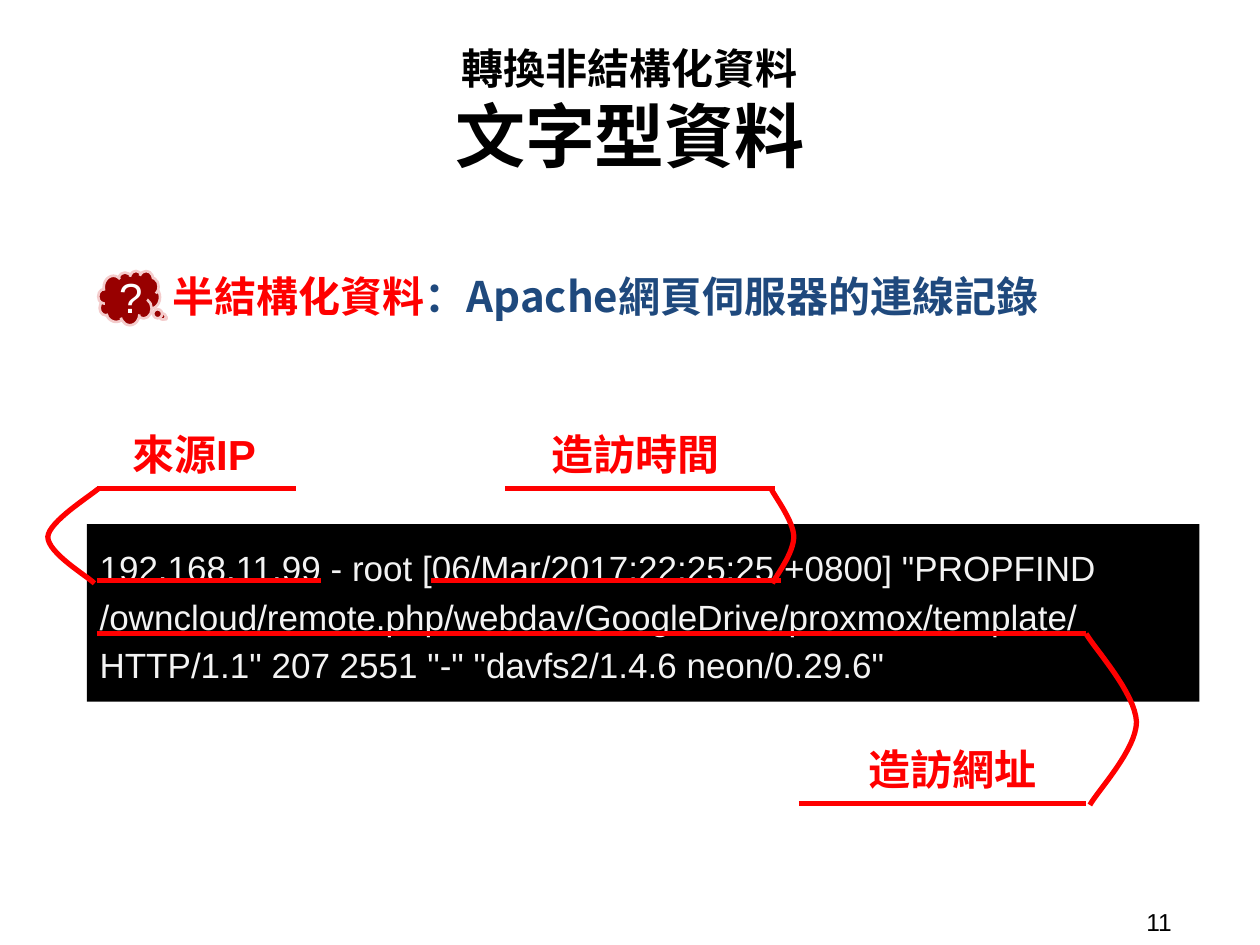
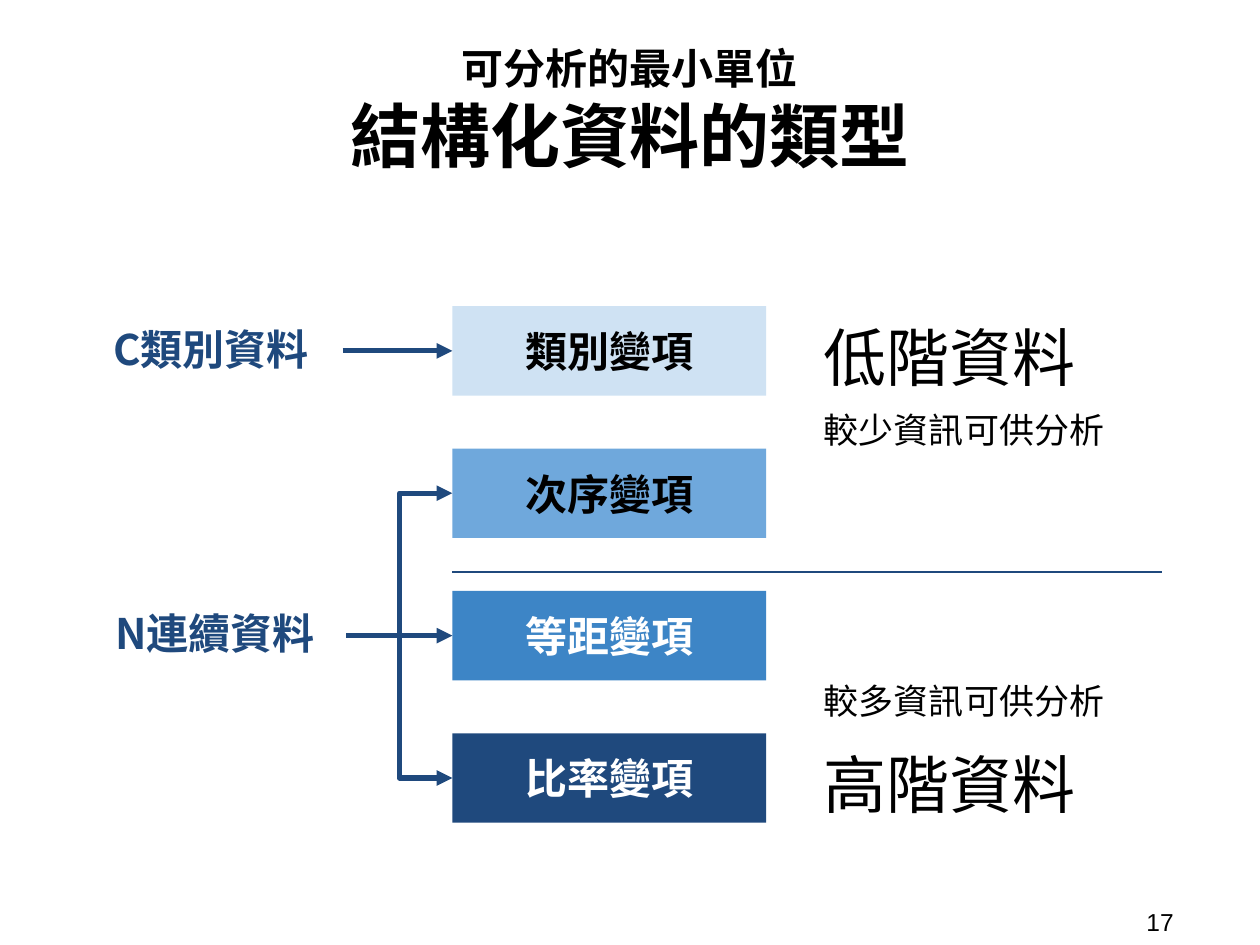
import lxml.etree
import pptx
import pptx.dml.color
import pptx.enum.shapes
import pptx.enum.text
import pptx.oxml.ns
import pptx.util

Inches = pptx.util.Inches
SHAPES = pptx.enum.shapes.MSO_SHAPE
CONNECTORS = pptx.enum.shapes.MSO_CONNECTOR
ALIGN = pptx.enum.text.PP_ALIGN
ANCHOR = pptx.enum.text.MSO_ANCHOR

SANS, CJK = "Arial", "Noto Sans CJK TC"
BLACK, WHITE, RED, NAVY = "000000", "FFFFFF", "FF0000", "1F497D"
TITLE_BOX = (0.52, 0.19, 8.96, 1.36)
NUMBER_BOX = (9, 7.17, 0.92, 0.29)

LOG_TITLE = ("轉換非結構化資料", "文字型資料")
LOG_HEADING = [
    ("半結構化資料", {"fill": RED}),
    ("：Apache網頁伺服器的連線記錄", {"fill": NAVY}),
]
LOG_ENTRY = (
    "192.168.11.99 - root [06/Mar/2017:22:25:25 +0800] \"PROPFIND "
    "/owncloud/remote.php/webdav/GoogleDrive/proxmox/template/ "
    "HTTP/1.1\" 207 2551 \"-\" \"davfs2/1.4.6 neon/0.29.6\""
)
LOG_FIELDS = [
    {
        "label": "造訪網址", "box": (6.49, 5.8, 2.14, 0.29),
        "lines": [(0.77, 8.62, 5.03), (6.34, 8.62, 6.38)],
        "curve": [(8.62, 5.03), (8.69, 5.15), (9.01, 5.5), (9.02, 5.73),
                  (9.02, 5.95), (8.71, 6.28), (8.65, 6.39)],
    },
    {
        "label": "來源IP", "box": (0.8, 3.3, 1.48, 0.29),
        "lines": [(0.77, 2.55, 4.61), (0.77, 2.35, 3.88)],
        "curve": [(0.78, 3.88), (0.71, 3.94), (0.39, 4.14), (0.38, 4.26),
                  (0.38, 4.39), (0.69, 4.57), (0.75, 4.63)],
    },
    {
        "label": "造訪時間", "box": (4.04, 3.3, 2.01, 0.29),
        "lines": [(3.42, 6.2, 4.61), (4.01, 6.15, 3.88)],
        "curve": [(6.12, 3.88), (6.15, 3.94), (6.3, 4.14), (6.3, 4.26),
                  (6.3, 4.39), (6.16, 4.57), (6.13, 4.63)],
    },
]

TYPES_TITLE = ("可分析的最小單位", "結構化資料的類型")
VARIABLES = [
    ("類別變項", "CFE2F3", BLACK),
    ("次序變項", "6FA8DC", BLACK),
    ("等距變項", "3D85C6", WHITE),
    ("比率變項", NAVY, WHITE),
]
VARIABLE_LEFT, VARIABLE_TOP, VARIABLE_PITCH = 3.59, 2.43, 1.13
VARIABLE_WIDTH, VARIABLE_HEIGHT = 2.49, 0.71
DATA_KINDS = [
    ("C類別資料", 0.63, 0, [0]),
    ("N連續資料", 0.66, 2, [1, 3, 2]),
]
KIND_WIDTH, KIND_HEIGHT = 2.09, 0.64
LEVEL_NOTES = [
    ("低階資料", 2.43, 36, ANCHOR.TOP),
    ("較少資訊可供分析", 3.14, 20, ANCHOR.TOP),
    ("較多資訊可供分析", 5.12, 20, ANCHOR.BOTTOM),
    ("高階資料", 5.82, 36, ANCHOR.TOP),
]


def color(value):
    return pptx.dml.color.RGBColor.from_string(value)


def place(shape, box):
    shape.left, shape.top, shape.width, shape.height = map(Inches, box)


def write_text(shape, paragraphs, font=SANS, size=24, fill=BLACK, bold=False,
               align=ALIGN.LEFT, anchor=ANCHOR.TOP, spacing=1.0, inset=0.1):
    frame = shape.text_frame
    frame.word_wrap = True
    frame.auto_size = pptx.enum.text.MSO_AUTO_SIZE.NONE
    frame.vertical_anchor = anchor
    frame.margin_left = frame.margin_right = Inches(0.1)
    frame.margin_top = frame.margin_bottom = Inches(inset)
    if isinstance(paragraphs, str):
        paragraphs = [[(paragraphs, {})]]
    for index, runs in enumerate(paragraphs):
        paragraph = frame.add_paragraph() if index else frame.paragraphs[0]
        properties = paragraph._p.get_or_add_pPr()
        properties.set("marL", "0")
        properties.set("indent", "0")
        lxml.etree.SubElement(properties, pptx.oxml.ns.qn("a:buNone"))
        paragraph.alignment = align
        paragraph.line_spacing = spacing
        paragraph.space_before = pptx.util.Pt(0)
        for text, changes in runs:
            run = paragraph.add_run()
            run.text = text
            run.font.name = font
            run.font.size = pptx.util.Pt(changes.get("size", size))
            run.font.bold = bold
            run.font.color.rgb = color(changes.get("fill", fill))
            east_asian = lxml.etree.SubElement(
                run._r.get_or_add_rPr(), pptx.oxml.ns.qn("a:ea"))
            east_asian.set("typeface", CJK)


def add_text(slide, box, text, **style):
    shape = slide.shapes.add_textbox(*map(Inches, box))
    write_text(shape, text, **style)


def add_block(slide, kind, box, background, text, **style):
    shape = slide.shapes.add_shape(kind, *map(Inches, box))
    shape.shadow.inherit = False
    shape.fill.solid()
    shape.fill.fore_color.rgb = color(background)
    shape.line.fill.background()
    write_text(shape, text, anchor=ANCHOR.MIDDLE, **style)
    return shape


def set_line(shape, stroke, width):
    shape.line.color.rgb = color(stroke)
    shape.line.width = pptx.util.Pt(width)


def add_line(slide, start, end, stroke, width=3, kind=CONNECTORS.STRAIGHT, arrow=False):
    connector = slide.shapes.add_connector(kind, *map(Inches, (*start, *end)))
    set_line(connector, stroke, width)
    properties = connector._element.spPr
    if arrow:
        outline = properties.find(pptx.oxml.ns.qn("a:ln"))
        tail = lxml.etree.SubElement(outline, pptx.oxml.ns.qn("a:tailEnd"))
        tail.set("type", "triangle")
    lxml.etree.SubElement(properties, pptx.oxml.ns.qn("a:effectLst"))
    return connector


def bezier(controls, steps=16):
    for step in range(1, steps + 1):
        t = step / steps
        weights = ((1 - t) ** 3, 3 * t * (1 - t) ** 2, 3 * t * t * (1 - t), t ** 3)
        yield tuple(
            Inches(sum(weight * point[axis] for weight, point in zip(weights, controls)))
            for axis in (0, 1)
        )


def add_curve(slide, points, stroke):
    builder = slide.shapes.build_freeform(*map(Inches, points[0]))
    vertices = [vertex for first in range(0, len(points) - 1, 3)
                for vertex in bezier(points[first:first + 4])]
    builder.add_line_segments(vertices, close=False)
    curve = builder.convert_to_shape()
    curve.shadow.inherit = False
    curve.fill.background()
    set_line(curve, stroke, 3)


def add_slide(presentation, title, number):
    slide = presentation.slides.add_slide(presentation.slide_layouts[3])
    place(slide.shapes.title, TITLE_BOX)
    write_text(slide.shapes.title, [[(title[0], {})], [(title[1], {"size": 40})]],
               font=CJK, bold=True, align=ALIGN.CENTER, anchor=ANCHOR.MIDDLE)
    add_text(slide, NUMBER_BOX, number, size=14, anchor=ANCHOR.MIDDLE, inset=0.05)
    return slide


def build_log_slide(presentation):
    slide = add_slide(presentation, LOG_TITLE, "11")
    log, heading = slide.placeholders[1], slide.placeholders[2]
    place(log, (0.69, 4.16, 8.83, 1.41))
    log.fill.solid()
    log.fill.fore_color.rgb = color(BLACK)
    write_text(log, LOG_ENTRY, size=20, fill="F3F3F3", anchor=ANCHOR.MIDDLE, spacing=1.15)
    place(heading, (0.69, 2.05, 8.23, 0.64))
    write_text(heading, [LOG_HEADING], font=CJK, bold=True, align=ALIGN.CENTER)
    cloud = add_block(slide, SHAPES.CLOUD_CALLOUT, (0.78, 2.15, 0.49, 0.43),
                      "980000", "?", fill=WHITE)
    cloud.adjustments[0], cloud.adjustments[1] = 0.584, 0.37
    set_line(cloud, "F4CCCC", 1.5)
    for field in LOG_FIELDS:
        for left, right, y in field["lines"]:
            add_line(slide, (left, y), (right, y), RED)
        add_text(slide, field["box"], field["label"], fill=RED, bold=True, align=ALIGN.CENTER)
        add_curve(slide, field["curve"], RED)


def build_types_slide(presentation):
    slide = add_slide(presentation, TYPES_TITLE, "17")
    variables = []
    for row, (name, background, fill) in enumerate(VARIABLES):
        box = (VARIABLE_LEFT, VARIABLE_TOP + row * VARIABLE_PITCH,
               VARIABLE_WIDTH, VARIABLE_HEIGHT)
        variables.append(add_block(slide, SHAPES.RECTANGLE, box, background, name,
                                   fill=fill, bold=True, align=ALIGN.CENTER))
    add_line(slide, (VARIABLE_LEFT, 4.54), (9.22, 4.54), NAVY, width=0.75)
    for index, (name, left, row, targets) in enumerate(DATA_KINDS, start=1):
        label = slide.placeholders[index]
        middle = VARIABLE_TOP + row * VARIABLE_PITCH + VARIABLE_HEIGHT / 2
        place(label, (left, middle - KIND_HEIGHT / 2, KIND_WIDTH, KIND_HEIGHT))
        write_text(label, name, font=CJK, fill=NAVY, bold=True, align=ALIGN.CENTER)
        for target in targets:
            kind = CONNECTORS.STRAIGHT if target == row else CONNECTORS.ELBOW
            end = (VARIABLE_LEFT, middle + (target - row) * VARIABLE_PITCH)
            arrow = add_line(slide, (left + KIND_WIDTH, middle), end, NAVY,
                             kind=kind, arrow=True)
            arrow.begin_connect(label, 3)
            arrow.end_connect(variables[target], 1)
    for text, top, size, anchor in LEVEL_NOTES:
        add_text(slide, (6.44, top, 2.63, 0.71), text, size=size, anchor=anchor)


def main():
    presentation = pptx.Presentation()
    presentation.slide_width, presentation.slide_height = Inches(10), Inches(7.5)
    build_log_slide(presentation)
    build_types_slide(presentation)
    presentation.save("out.pptx")


if __name__ == "__main__":
    main()
